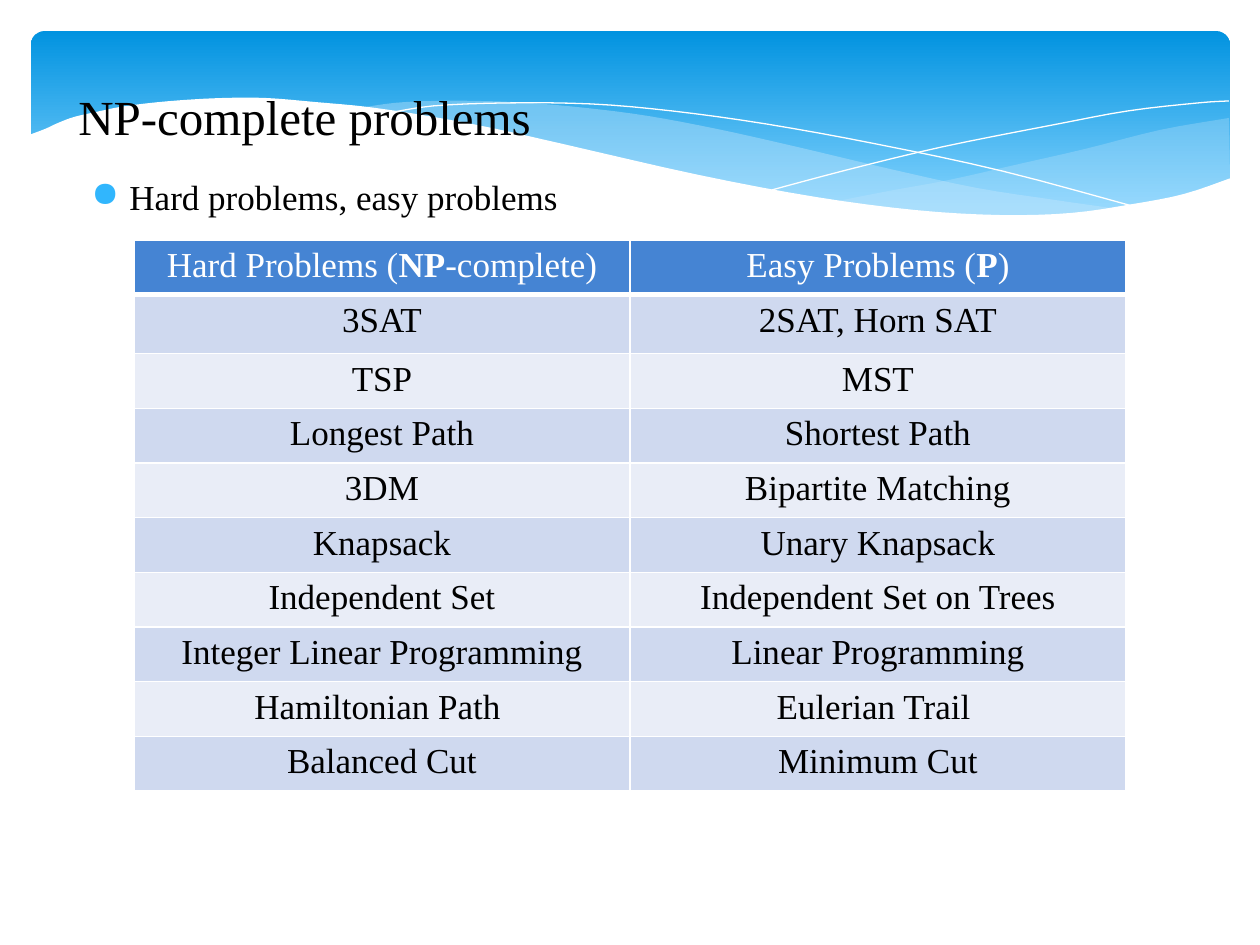
from dataclasses import dataclass

from lxml import etree
from pptx import Presentation
from pptx import util as u
from pptx.dml.color import RGBColor
from pptx.enum import shapes, text
from pptx.oxml.ns import qn

PX = 914400 // 126  # EMU per px


@dataclass(frozen=True)
class Theme:
    font: str = "Times New Roman"
    title: int = 28
    body: int = 20
    ink: str = "000000"
    white: str = "FFFFFF"
    sky_top: str = "0293E0"
    sky_low: str = "83D3FE"
    wave: str = "C6E7FC"
    bullet: str = "31B6FD"
    head: str = "4584D3"
    bands: tuple = ("CFD9EF", "E9EDF7")


T = Theme()

# Wave outlines: each edge is a list of points on a smooth curve
RIGHT_WAVE = [
    [(1229, 118), (1160, 130), (1085, 149), (1015, 165), (949, 180), (889, 191), (833, 202)],
    [(833, 202), (922, 211), (998, 216), (1064, 217), (1121, 213), (1171, 204), (1213, 191),
     (1230, 178)],
]
LEFT_WAVE = [
    [(1125, 210), (1055, 200), (977, 188), (890, 169), (793, 146), (717, 129), (648, 116),
     (586, 108), (529, 103), (479, 101), (433, 101), (394, 103), (360, 108)],
    [(360, 108), (431, 118), (509, 134), (566, 146), (668, 170), (757, 189), (838, 203),
     (910, 212), (974, 216), (1031, 218), (1081, 217), (1125, 210)],
]
WHITE_WAVE = [
    [(1231, 178), (1184, 194), (1133, 204), (1071, 213), (999, 215), (915, 210), (816, 197),
     (699, 175), (563, 144), (492, 128), (428, 116), (368, 107), (315, 102), (266, 98),
     (223, 98), (184, 100), (150, 103), (120, 107), (96, 112), (74, 117), (58, 123),
     (45, 129), (29, 135)],
    [(29, 282), (1231, 282)],
]
FALLING_LINE = [[(389, 113), (433, 106), (505, 103), (591, 104), (672, 111), (766, 124),
                 (876, 144), (1002, 171), (1143, 209)]]
RISING_LINE = [[(772, 190), (847, 170), (942, 147), (1053, 125), (1128, 111), (1198, 103),
                (1229, 101)]]

HEADER = [["Hard Problems (", "NP", "-complete)"], ["Easy Problems (", "P", ")"]]
PROBLEMS = [
    ("3SAT", "2SAT, Horn SAT"),
    ("TSP", "MST"),
    ("Longest Path", "Shortest Path"),
    ("3DM", "Bipartite Matching"),
    ("Knapsack", "Unary Knapsack"),
    ("Independent Set", "Independent Set on Trees"),
    ("Integer Linear Programming", "Linear Programming"),
    ("Hamiltonian Path ", "Eulerian Trail "),
    ("Balanced Cut", "Minimum Cut"),
]


def rgb(color):
    return RGBColor.from_string(color)


def smooth(pts, steps=4):
    """Catmull-Rom curve through the points, in EMU."""
    if len(pts) < 3:
        return [(x * PX, y * PX) for x, y in pts]
    ends = [pts[0], *pts, pts[-1]]
    curve = []
    for a, b, c, d in zip(ends, ends[1:], ends[2:], ends[3:]):
        for t in (i / steps for i in range(steps)):
            curve.append(tuple(
                round(PX / 2 * (2 * q + (r - p) * t + (2 * p - 5 * q + 4 * r - s) * t ** 2
                                + (3 * q - p - 3 * r + s) * t ** 3))
                for p, q, r, s in zip(a, b, c, d)))
    return curve + [(pts[-1][0] * PX, pts[-1][1] * PX)]


def add_wave(s, edges, fill=None, opacity=100):
    """Filled area, or a white hairline when no fill is given."""
    pts = [pt for edge in edges for pt in smooth(edge)]
    fb = s.shapes.build_freeform(*pts[0], scale=1.0)
    fb.add_line_segments(pts[1:], close=fill is not None)
    sp = fb.convert_to_shape()
    sp.shadow.inherit = False
    if fill is None:
        sp.fill.background()
        sp.line.color.rgb = rgb(T.white)
        sp.line.width = 0
        return
    sp.fill.solid()
    sp.fill.fore_color.rgb = rgb(fill)
    sp.line.fill.background()
    if opacity < 100:
        clr = sp._element.spPr.find(qn("a:solidFill"))[0]
        etree.SubElement(clr, qn("a:alpha"), val=str(opacity * 1000))


def add_sky(s, x, y, w, h):
    sp = s.shapes.add_shape(shapes.MSO_SHAPE.ROUNDED_RECTANGLE, *(v * PX for v in (x, y, w, h)))
    sp.adjustments[0] = 0.07
    sp.shadow.inherit = False
    sp.line.fill.background()
    sp.fill.gradient()
    sp.fill.gradient_angle = 270
    for stop, color, pos in zip(sp.fill.gradient_stops, (T.sky_top, T.sky_low), (0, 0.9)):
        stop.color.rgb = rgb(color)
        stop.position = pos


def add_run(p, content, size=T.body, color=T.ink, bold=False):
    r = p.add_run()
    r.text = content
    r.font.name, r.font.size, r.font.bold = T.font, u.Pt(size), bold
    r.font.color.rgb = rgb(color)


def add_text(s, content, x, y, w, h, size=T.body, anchor=text.MSO_ANCHOR.TOP, bullet=False):
    tf = s.shapes.add_textbox(*(v * PX for v in (x, y, w, h))).text_frame
    tf.word_wrap = True
    tf.vertical_anchor = anchor
    p = tf.paragraphs[0]
    if bullet:
        p.line_spacing = 1.1
        pPr = p._p.get_or_add_pPr()
        pPr.set("marL", str(38 * PX))
        pPr.set("indent", str(-38 * PX))
        clr = etree.SubElement(pPr, qn("a:buClr"))
        etree.SubElement(clr, qn("a:srgbClr"), val=T.bullet)
        etree.SubElement(pPr, qn("a:buChar"), char="●")
    add_run(p, content, size)


def set_borders(cell, **widths):
    tcPr = cell._tc.get_or_add_tcPr()
    for i, (side, width) in enumerate(widths.items()):
        ln = etree.Element(qn(f"a:ln{side}"), w=str(u.Pt(width)))
        fill = etree.SubElement(ln, qn("a:solidFill"))
        etree.SubElement(fill, qn("a:srgbClr"), val=T.white)
        tcPr.insert(i, ln)


def fill_cell(cell, parts, fill, color, top=1, bottom=1):
    """Every second part of the text is bold."""
    cell.fill.solid()
    cell.fill.fore_color.rgb = rgb(fill)
    p = cell.text_frame.paragraphs[0]
    p.alignment = text.PP_ALIGN.CENTER
    for i, part in enumerate(parts):
        add_run(p, part, color=color, bold=i % 2 == 1)
    set_borders(cell, L=1, R=1, T=top, B=bottom)


def add_problem_table(s, x, y, col_w, row_h, first_h):
    n = len(PROBLEMS) + 1
    heights = [row_h, first_h] + [row_h] * (n - 2)
    tbl = s.shapes.add_table(n, 2, x * PX, y * PX, 2 * col_w * PX, sum(heights) * PX).table
    for row, height in zip(tbl.rows, heights):
        row.height = height * PX
    for c, parts in enumerate(HEADER):
        tbl.columns[c].width = col_w * PX
        fill_cell(tbl.cell(0, c), parts, T.head, T.white, bottom=3)
    for i, pair in enumerate(PROBLEMS):
        for c, name in enumerate(pair):
            fill_cell(tbl.cell(i + 1, c), [name], T.bands[i % 2], T.ink, top=1 if i else 3)


def main():
    prs = Presentation()
    prs.slide_width, prs.slide_height = u.Inches(10), u.Inches(7.5)
    s = prs.slides.add_slide(prs.slide_layouts[6])

    # Sky banner with waves
    add_sky(s, 31, 31, 1199, 197)
    add_wave(s, RIGHT_WAVE, T.wave, opacity=29)
    add_wave(s, LEFT_WAVE, T.wave, opacity=40)
    add_wave(s, FALLING_LINE)
    add_wave(s, RISING_LINE)
    add_wave(s, WHITE_WAVE, T.white)

    # Text and table
    add_text(s, "Hard problems, easy problems", 79, 165, 1106, 725, bullet=True)
    add_text(s, "NP-complete problems", 66, 67, 1134, 98, T.title, text.MSO_ANCHOR.MIDDLE)
    add_problem_table(s, 134, 240, 496, 51, 59)

    prs.save("out.pptx")


if __name__ == "__main__":
    main()
